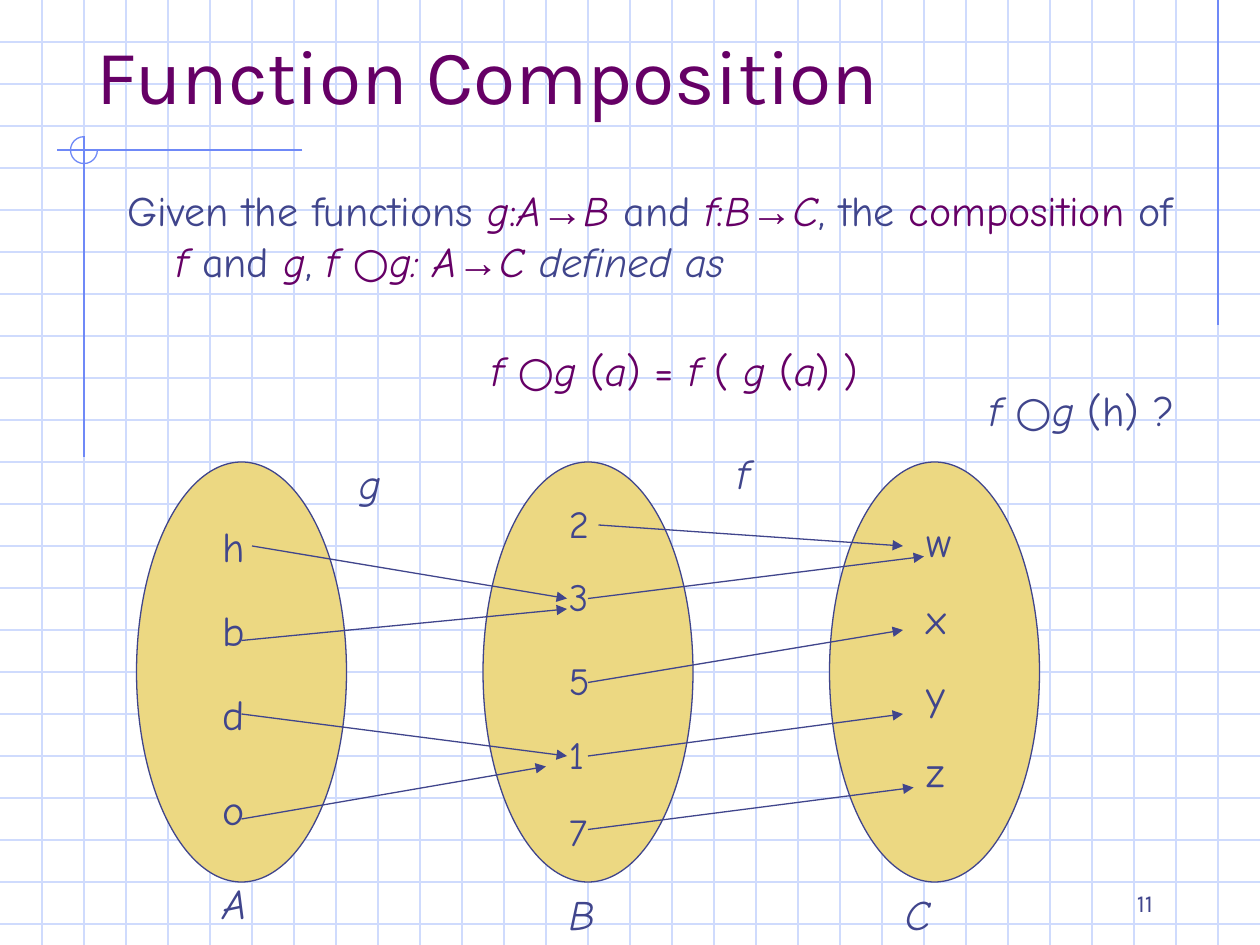
import lxml.etree
import pptx
import pptx.dml.color
import pptx.enum.shapes
import pptx.enum.text
import pptx.oxml
import pptx.oxml.ns
import pptx.util

RGBColor = pptx.dml.color.RGBColor
INK = RGBColor(0x40, 0x45, 0x8C)
PLUM = RGBColor(0x66, 0x00, 0x66)
SAND = RGBColor(0xEC, 0xD8, 0x82)
GRID_BLUE = RGBColor(0xCF, 0xDB, 0xFD)
RULE_BLUE = RGBColor(0x6F, 0x89, 0xF7)

SHAPES = pptx.enum.shapes.MSO_SHAPE
ALIGN = pptx.enum.text.PP_ALIGN
ANCHOR = pptx.enum.text.MSO_ANCHOR
BODY_FONT, HEAD_FONT = "Comic Neue", "Karla"

COLUMNS, ROWS = 120, 90
CELL = pptx.util.Inches(10) // COLUMNS

PLAIN = {}
ITALIC = {"italic": True}
PLUM_PLAIN = {"color": PLUM}
PLUM_ITALIC = {"color": PLUM, "italic": True}
ARROW = {"color": PLUM, "font": "Arial"}


def cells(*values):
    return [round(value * CELL) for value in values]


def write(paragraph, text, font=BODY_FONT, size=24, color=INK, italic=False):
    run = paragraph.add_run()
    run.text = text
    run.font.name = font
    run.font.size = pptx.util.Pt(size)
    run.font.color.rgb = color
    run.font.italic = italic


def write_runs(paragraph, runs):
    for text, style in runs:
        write(paragraph, text, **style)


def add_box(slide, left, top, width, height, anchor=ANCHOR.TOP):
    frame = slide.shapes.add_textbox(*cells(left, top, width, height)).text_frame
    frame.word_wrap = True
    frame.vertical_anchor = anchor
    return frame


def add_label(slide, left, top, width, text, **style):
    write(add_box(slide, left, top, width, 6).paragraphs[0], text, **style)


def add_line(slide, start, end, color, arrow=False):
    connector = slide.shapes.add_connector(
        pptx.enum.shapes.MSO_CONNECTOR.STRAIGHT, *cells(*start, *end))
    connector.line.color.rgb = color
    connector.line.width = pptx.util.Pt(0.75)
    qualified = pptx.oxml.ns.qn
    if arrow:
        outline = connector.line._get_or_add_ln()
        lxml.etree.SubElement(outline, qualified("a:tailEnd"), type="triangle")
    lxml.etree.SubElement(connector.element.spPr, qualified("a:effectLst"))


def add_outline(slide, preset, box, color, fill=None):
    shape = slide.shapes.add_shape(preset, *cells(*box))
    shape.shadow.inherit = False
    shape.line.color.rgb = color
    shape.line.width = pptx.util.Pt(0.75)
    if fill is None:
        shape.fill.background()
    else:
        shape.fill.solid()
        shape.fill.fore_color.rgb = fill
    return shape


def draw_graph_paper(slide, step=4):
    for row in range(step, ROWS, step):
        add_line(slide, (0, row), (COLUMNS, row), GRID_BLUE)
    for column in range(step, COLUMNS, step):
        add_line(slide, (column, 0), (column, ROWS), GRID_BLUE)


def draw_corner_rules(slide, left, top, width, height):
    center_x, center_y, radius = left + 2.6, top + 1.3, 1.28
    add_line(slide, (left + width, center_y), (left, center_y), RULE_BLUE)
    add_line(slide, (center_x, top), (center_x, top + height), RULE_BLUE)
    arc = add_outline(slide, SHAPES.ARC,
                      (center_x - radius, center_y - radius, 2 * radius, 2 * radius),
                      RULE_BLUE)
    arc.adjustments[0] = 0
    arc.adjustments[1] = 162
    add_line(slide, (116, 0), (116, 31), RULE_BLUE)


def place_title(slide, left, top, width, height):
    title = slide.shapes.title
    title.left, title.top, title.width, title.height = cells(left, top, width, height)
    title.text_frame.vertical_anchor = ANCHOR.BOTTOM
    title.text_frame.auto_size = pptx.enum.text.MSO_AUTO_SIZE.NONE
    paragraph = title.text_frame.paragraphs[0]
    paragraph.alignment = ALIGN.LEFT
    write(paragraph, "Function Composition", font=HEAD_FONT, size=44, color=PLUM)
    slide.shapes.element.append(title.element)


def place_definition(slide, left, top, width, height):
    frame = add_box(slide, left, top, width, height)
    statement = frame.paragraphs[0]
    write_runs(statement, [
        ("Given the functions ", PLAIN), ("g", PLUM_ITALIC), (":", PLUM_PLAIN),
        ("A", PLUM_ITALIC), ("→", ARROW), ("B", PLUM_ITALIC), (" and ", PLAIN),
        ("f", PLUM_ITALIC), (":", PLUM_PLAIN), ("B", PLUM_ITALIC), ("→", ARROW),
        ("C", PLUM_ITALIC), (", the ", PLAIN), ("composition", PLUM_PLAIN),
        (" of ", PLAIN), ("f", PLUM_ITALIC), (" and ", PLAIN), ("g", PLUM_ITALIC),
        (", ", PLAIN), ("f ", PLUM_ITALIC), ("○", PLUM_PLAIN),
        ("g: A", PLUM_ITALIC), ("→", ARROW), ("C", PLUM_ITALIC),
        (" defined as", ITALIC)])
    formula = frame.add_paragraph()
    formula.alignment = ALIGN.CENTER
    formula.line_spacing = 0.9
    formula.space_before = pptx.util.Pt(37)
    write_runs(formula, [
        ("f ", PLUM_ITALIC), ("○", PLUM_PLAIN), ("g ", PLUM_ITALIC),
        ("(", PLUM_PLAIN), ("a", PLUM_ITALIC), (") = ", PLUM_PLAIN),
        ("f ", PLUM_ITALIC), ("( ", PLUM_PLAIN), ("g", PLUM_ITALIC),
        (" (", PLUM_PLAIN), ("a", PLUM_ITALIC), (") )", PLUM_PLAIN)])
    hang = pptx.util.Inches(0.38)
    for paragraph, first_line in ((statement, -hang), (formula, 0)):
        properties = paragraph._p.get_or_add_pPr()
        properties.set("marL", str(hang))
        properties.set("indent", str(first_line))


def place_question(slide, left, top, width, height):
    write_runs(add_box(slide, left, top, width, height).paragraphs[0], [
        ("f ", ITALIC), ("○", PLAIN), ("g ", ITALIC), ("(h) ?", PLAIN)])


def draw_mapping(slide, left, top, width, height):
    set_width, set_height = 20, 40
    gap = (width - set_width) / 2
    for index in range(3):
        add_outline(slide, SHAPES.OVAL,
                    (left + index * gap, top + 2, set_width, set_height), INK, SAND)

    for text, row in (("h", 7), ("b", 15), ("d", 23), ("o", 32)):
        add_label(slide, left + 7, top + row, 5, text)
    for text, row in (("2", 5), ("3", 12), ("5", 20), ("1", 27), ("7", 34.4)):
        add_label(slide, left + 40, top + row, 5, text, size=22)

    targets = add_box(slide, left + 73, top + 6.5, 9, 28)
    targets.margin_left = pptx.util.Inches(0.19)
    for index, text in enumerate("wxyz"):
        paragraph = targets.add_paragraph() if index else targets.paragraphs[0]
        if index:
            paragraph.space_before = pptx.util.Pt(15)
        write(paragraph, text)

    arrows = [((11, 10), (41, 15)), ((43, 15), (75, 11)), ((10, 19), (41, 16)),
              ((10, 26), (41, 30)), ((43, 30), (73, 26)), ((43, 23), (73, 18)),
              ((43, 37), (74, 33)), ((10, 36), (39, 31)), ((44, 8), (73, 10))]
    for start, end in arrows:
        add_line(slide, (left + start[0], top + start[1]),
                 (left + end[0], top + end[1]), INK, arrow=True)

    for text, column, row in (("f", 56, 0), ("g", 20, 1), ("A", 7, height - 7),
                              ("B", 40, height - 6), ("C", 72, height - 6)):
        add_label(slide, left + column, top + row, 9, text, italic=True)


def place_page_number(slide, left, top, width, height):
    paragraph = add_box(slide, left, top, width, height, ANCHOR.BOTTOM).paragraphs[0]
    paragraph.alignment = ALIGN.RIGHT
    write(paragraph, "11", font=HEAD_FONT, size=14)


def main():
    presentation = pptx.Presentation()
    presentation.slide_width, presentation.slide_height = cells(COLUMNS, ROWS)
    slide = presentation.slides.add_slide(presentation.slide_layouts[5])
    draw_graph_paper(slide)
    draw_corner_rules(slide, 5.4, 13, 23.4, 30.5)
    place_title(slide, 8, 4, 108, 8)
    place_definition(slide, 11, 17, 102, 22)
    draw_mapping(slide, 13, 42, 86, 48)
    place_question(slide, 93, 36, 22, 6)
    place_page_number(slide, 86, 85, 25, 3)
    presentation.save("out.pptx")


if __name__ == "__main__":
    main()
